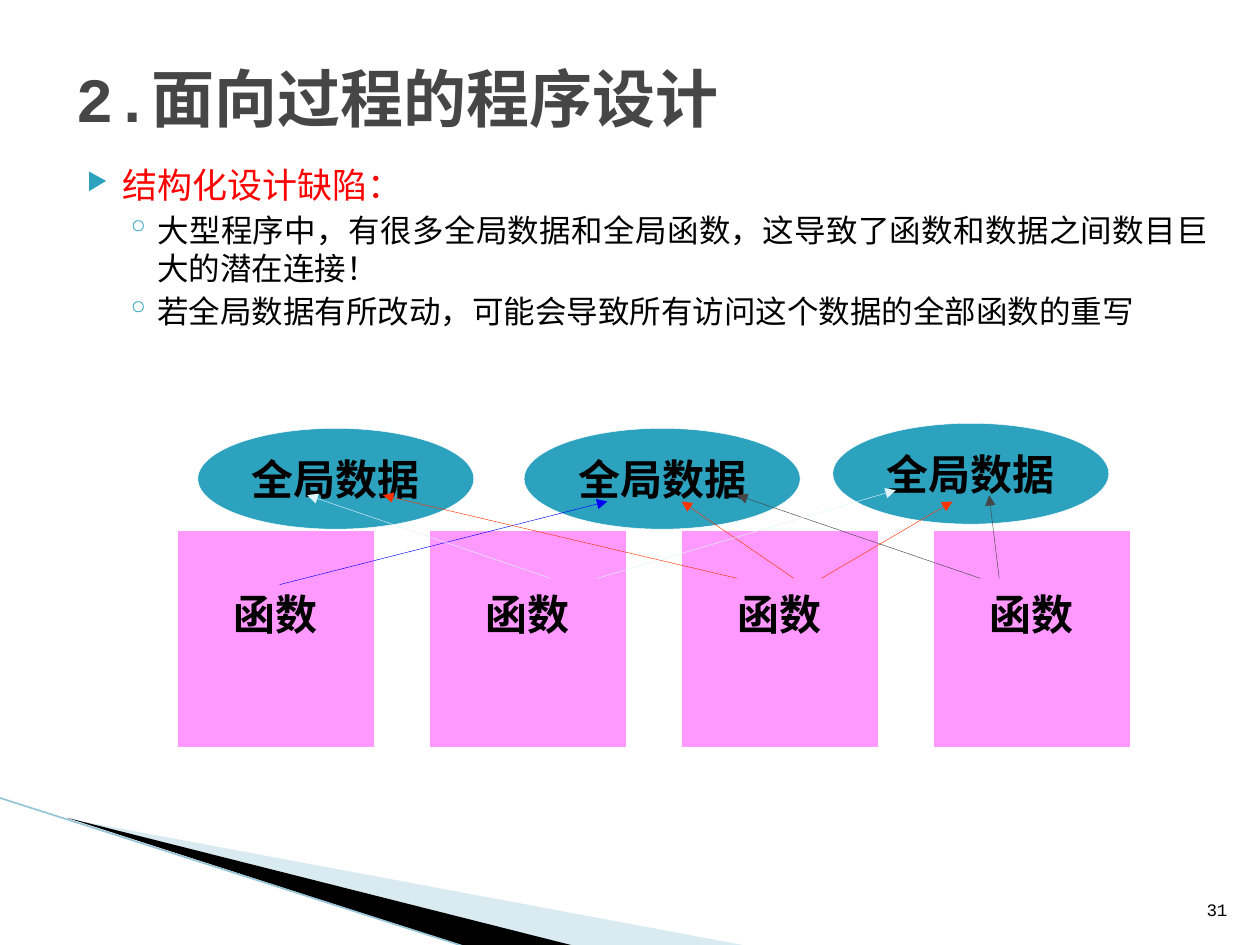
from lxml import etree
from pptx import Presentation
from pptx.dml.color import RGBColor
from pptx.enum.shapes import MSO_CONNECTOR as Connector, MSO_SHAPE as Shape
from pptx.enum.text import MSO_ANCHOR as Anchor, MSO_AUTO_SIZE as AutoSize, PP_ALIGN as Align
from pptx.oxml.ns import qn
from pptx.util import Inches, Pt

COLORS = {
    "white": "FFFFFF", "black": "000000", "title": "464646", "red": "FF0000",
    "teal": "2DA2BF", "pink": "FF99FF", "blue": "0000FF", "orange": "FF3300",
    "pale": "DEF5FA", "wedge": "A0CBDC", "edge": "97C5D8",
}
SERIF, MONO = "Times New Roman", "Courier New"


def rgb(name):
    return RGBColor.from_string(COLORS[name])


def add_xml(parent, tag, **attributes):
    return etree.SubElement(parent, qn(tag), attributes)


class SlideBuilder:
    label_format = {"name": SERIF, "size": Pt(24), "bold": True}

    def __init__(self, presentation):
        self.slide = presentation.slides.add_slide(presentation.slide_layouts[5])
        self.shapes = self.slide.shapes

    def add_text(self, paragraph, text, color, align, formats):
        paragraph.alignment = align
        run = paragraph.add_run()
        run.text = text
        for key, value in formats.items():
            setattr(run.font, key, value)
        run.font.color.rgb = rgb(color)

    def title(self, text, box):
        title = self.shapes.title
        title.left, title.top, title.width, title.height = map(Inches, box)
        frame = title.text_frame
        frame.vertical_anchor = Anchor.MIDDLE
        frame.auto_size = AutoSize.NONE
        self.add_text(frame.paragraphs[0], text, "title", Align.LEFT,
                      {"name": MONO, "size": Pt(36), "bold": True})

    def text_box(self, box, anchor=Anchor.TOP):
        frame = self.shapes.add_textbox(*map(Inches, box)).text_frame
        frame.word_wrap = True
        frame.vertical_anchor = anchor
        return frame

    def bullets(self, box, items):
        frame = self.text_box(box)
        styles = [
            {"char": "▶", "size": "68000", "margin": 0.4, "indent": -0.28,
             "color": "red", "font": {"name": SERIF, "size": Pt(20)}},
            {"char": "◦", "size": "100000", "margin": 0.68, "indent": -0.25,
             "color": "black", "font": {"name": MONO, "size": Pt(18)}},
        ]
        for index, (level, text) in enumerate(items):
            style = styles[level]
            paragraph = frame.add_paragraph() if index else frame.paragraphs[0]
            paragraph.level = level
            properties = paragraph._p.get_or_add_pPr()
            properties.set("marL", str(Inches(style["margin"])))
            properties.set("indent", str(Inches(style["indent"])))
            color = add_xml(properties, "a:buClr")
            add_xml(color, "a:srgbClr", val=COLORS["teal"])
            add_xml(properties, "a:buSzPct", val=style["size"])
            add_xml(properties, "a:buChar", char=style["char"])
            if index:
                paragraph.space_before = Pt(3.2)
            self.add_text(paragraph, text, style["color"], Align.JUSTIFY, style["font"])

    def page_number(self, text, box):
        frame = self.text_box(box, Anchor.BOTTOM)
        self.add_text(frame.paragraphs[0], text, "black", Align.RIGHT,
                      {"name": MONO, "size": Pt(10)})

    def node(self, kind, text, box, fill, wrap, bottom=0.05):
        shape = self.shapes.add_shape(kind, *map(Inches, box))
        shape.shadow.inherit = False
        shape.fill.solid()
        shape.fill.fore_color.rgb = rgb(fill)
        shape.line.color.rgb = rgb("white")
        shape.line.width = Pt(0.25)
        frame = shape.text_frame
        frame.word_wrap = wrap
        frame.vertical_anchor = Anchor.MIDDLE
        frame.margin_bottom = Inches(bottom)
        self.add_text(frame.paragraphs[0], text, "black", Align.CENTER, self.label_format)

    def line(self, start, end, color, width=0.25, arrow=True):
        connector = self.shapes.add_connector(
            Connector.STRAIGHT, *map(Inches, start + end))
        connector.line.color.rgb = rgb(color)
        connector.line.width = Pt(width)
        if arrow:
            add_xml(connector.line._get_or_add_ln(), "a:tailEnd", type="triangle")
        add_xml(connector._element.spPr, "a:effectLst")

    def polygon(self, points, fill, opacity=100):
        corners = [(Inches(x), Inches(y)) for x, y in points]
        builder = self.shapes.build_freeform(*corners[0])
        builder.add_line_segments(corners[1:], close=True)
        shape = builder.convert_to_shape()
        shape.shadow.inherit = False
        shape.line.fill.background()
        shape.fill.solid()
        shape.fill.fore_color.rgb = rgb(fill)
        if opacity < 100:
            color = shape._element.spPr.find(qn("a:solidFill"))[0]
            add_xml(color, "a:alpha", val=str(opacity * 1000))


def main():
    presentation = Presentation()
    presentation.slide_width, presentation.slide_height = Inches(10), Inches(7.5)
    builder = SlideBuilder(presentation)

    # Corner decoration
    builder.polygon([(0.55, 6.5), (5.95, 7.51), (4.56, 7.51)], "wedge", opacity=40)
    builder.polygon([(0.53, 6.49), (4.57, 7.51), (3.72, 7.52)], "black")
    builder.line((-0.01, 6.33), (3.71, 7.52), "edge", width=0.95, arrow=False)

    # Title, bullets and page number
    builder.title("2.面向过程的程序设计", (0.5, 0.3, 9, 0.95))
    builder.bullets((0.47, 1.25, 9.22, 1.8), [
        (0, "结构化设计缺陷："),
        (1, "大型程序中，有很多全局数据和全局函数，这导致了函数和数据之间数目巨大的潜在连接！"),
        (1, "若全局数据有所改动，可能会导致所有访问这个数据的全部函数的重写"),
    ])
    builder.page_number("31", (7.27, 6.95, 2.57, 0.4))

    # Global data above the functions
    for left, top in [(1.57, 3.4), (4.16, 3.4), (6.61, 3.36)]:
        builder.node(Shape.OVAL, "全局数据", (left, top, 2.19, 0.8), "teal", wrap=False)
    for column in range(4):
        builder.node(Shape.RECTANGLE, "函数", (1.41 + 2 * column, 4.21, 1.56, 1.72),
                     "pink", wrap=True, bottom=0.45)

    # Access arrows from functions to data
    arrows = [
        ((2.22, 4.64), (4.82, 3.98), "blue"),
        ((5.85, 4.59), (3.04, 3.93), "orange"),
        ((6.3, 4.59), (5.41, 3.98), "orange"),
        ((6.52, 4.59), (7.56, 3.98), "orange"),
        ((7.78, 4.59), (5.85, 3.93), "title"),
        ((7.93, 4.59), (7.85, 3.93), "title"),
        ((4.37, 4.59), (2.44, 3.93), "pale"),
        ((4.74, 4.59), (7.11, 3.89), "pale"),
    ]
    for start, end, color in arrows:
        builder.line(start, end, color)

    presentation.save("out.pptx")


if __name__ == "__main__":
    main()
